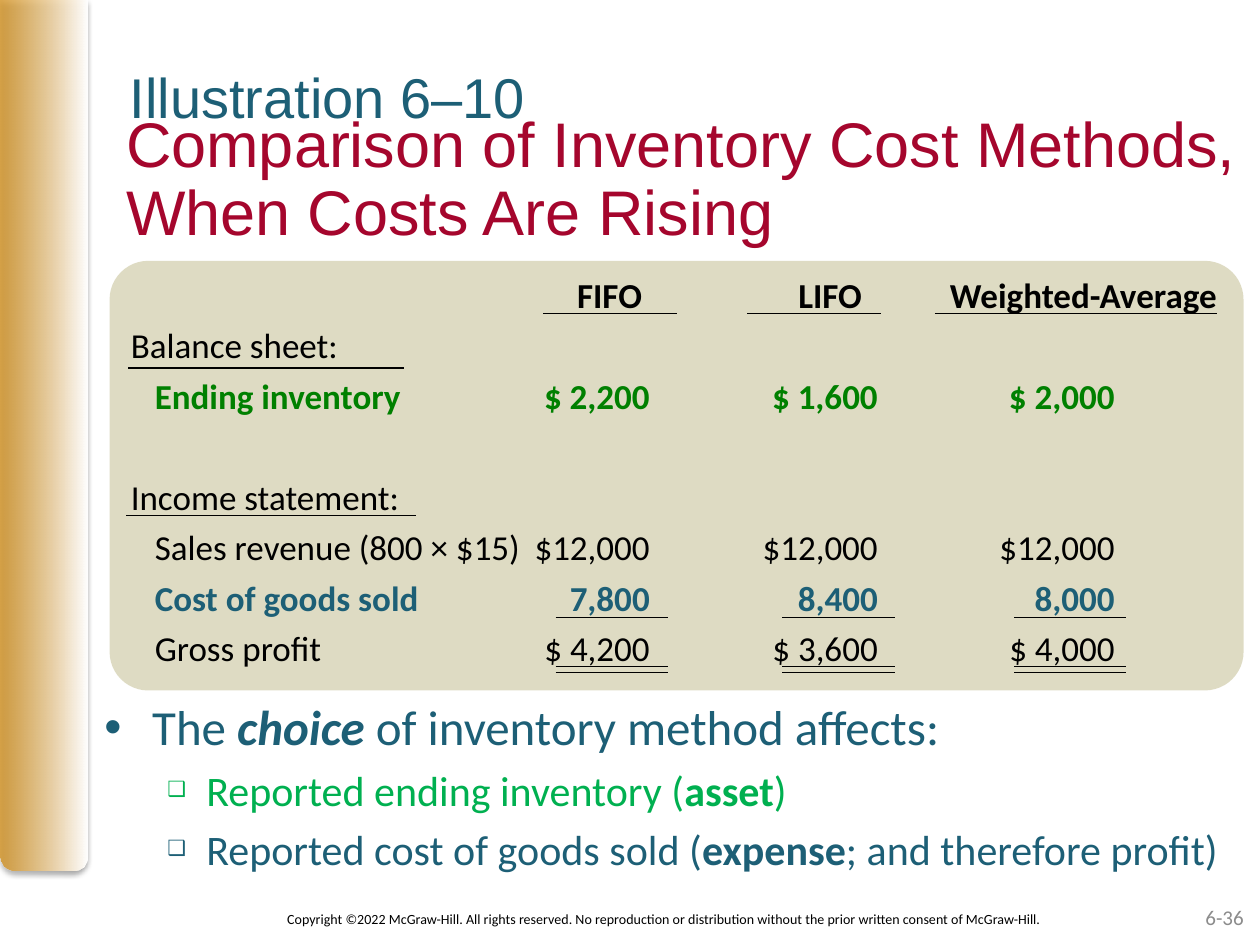
from dataclasses import dataclass

from lxml.etree import SubElement
from pptx import Presentation
from pptx.dml.color import RGBColor
from pptx.enum.shapes import MSO_CONNECTOR, MSO_SHAPE
from pptx.enum.text import MSO_ANCHOR, MSO_AUTO_SIZE, PP_ALIGN
from pptx.oxml.ns import qn
from pptx.util import Inches, Pt


@dataclass(frozen=True)
class Theme:
    gold: str = "D49323"
    white: str = "FFFFFF"
    black: str = "000000"
    gray: str = "8C8C8C"
    panel: str = "D4D0B0"
    crimson: str = "A5062D"
    teal: str = "1D5F76"
    green: str = "008000"
    bright_green: str = "00B050"
    heading_font: str = "Arial"
    body_font: str = "Calibri"
    title_size: int = 36
    label_size: int = 32
    bullet_size: int = 28
    sub_bullet_size: int = 24
    table_size: int = 20
    number_size: int = 12
    copyright_size: int = 8


class SlideBuilder:
    def __init__(self, slide, theme):
        self.slide = slide
        self.theme = theme

    def add_run(self, paragraph, text, size, color, font=None, bold=False, italic=False):
        run = paragraph.add_run()
        run.text = text
        run.font.name = font or self.theme.body_font
        run.font.size = Pt(size)
        run.font.color.rgb = RGBColor.from_string(color)
        run.font.bold = bold
        run.font.italic = italic

    def set_alpha(self, fill_element, percent):
        color = next(fill_element.iter(qn("a:srgbClr")))
        SubElement(color, qn("a:alpha"), val=str(percent * 1000))

    def title(self, text, left, top, width, height):
        shape = self.slide.shapes.title
        shape.left, shape.top, shape.width, shape.height = map(Inches, (left, top, width, height))
        frame = self.prepare_frame(shape, inset=0)
        paragraph = frame.paragraphs[0]
        paragraph.alignment = PP_ALIGN.LEFT
        paragraph.line_spacing = 0.9
        self.add_run(paragraph, text, self.theme.title_size, self.theme.crimson,
                     self.theme.heading_font)

    def prepare_frame(self, shape, inset=None, anchor=MSO_ANCHOR.TOP):
        frame = shape.text_frame
        frame.word_wrap = True
        frame.auto_size = MSO_AUTO_SIZE.NONE
        frame.vertical_anchor = anchor
        if inset is not None:
            frame.margin_left = frame.margin_right = Inches(inset)
            frame.margin_top = frame.margin_bottom = Inches(inset)
        return frame

    def text_frame(self, left, top, width, height, inset=None, anchor=MSO_ANCHOR.TOP):
        box = self.slide.shapes.add_textbox(*map(Inches, (left, top, width, height)))
        return self.prepare_frame(box, inset, anchor)

    def label(self, text, place, size, color, font=None, align=PP_ALIGN.LEFT, **frame_options):
        paragraph = self.text_frame(*place, **frame_options).paragraphs[0]
        paragraph.alignment = align
        self.add_run(paragraph, text, size, color, font)

    def shape(self, kind, left, top, width, height):
        shape = self.slide.shapes.add_shape(kind, *map(Inches, (left, top, width, height)))
        shape.shadow.inherit = False
        shape.line.fill.background()
        return shape

    def side_band(self, left, top, width, height):
        band = self.shape(MSO_SHAPE.ROUND_2_SAME_RECTANGLE, left, top, width, height)
        band.adjustments[0], band.adjustments[1] = 0, 0.17
        band.fill.gradient()
        band.fill.gradient_angle = 0
        for stop, color in zip(band.fill.gradient_stops, (self.theme.gold, self.theme.white)):
            stop.color.rgb = RGBColor.from_string(color)
        properties = band._element.spPr
        self.set_alpha(properties.find(qn("a:gradFill")), 80)
        shadow = SubElement(properties.find(qn("a:effectLst")), qn("a:outerShdw"),
                            blurRad=str(Pt(3.1)), dist=str(Pt(1.8)), dir="5400000",
                            rotWithShape="0")
        SubElement(shadow, qn("a:srgbClr"), val=self.theme.black)
        self.set_alpha(shadow, 35)

    def panel(self, left, top, width, height):
        panel = self.shape(MSO_SHAPE.ROUNDED_RECTANGLE, left, top, width, height)
        panel.adjustments[0] = 0.09
        panel.fill.solid()
        panel.fill.fore_color.rgb = RGBColor.from_string(self.theme.panel)
        self.set_alpha(panel._element.spPr.find(qn("a:solidFill")), 75)

    def rule(self, left, right, y):
        line = self.slide.shapes.add_connector(
            MSO_CONNECTOR.STRAIGHT, Inches(left), Inches(y), Inches(right), Inches(y))
        line.line.color.rgb = RGBColor.from_string(self.theme.black)
        line.line.width = Pt(0.75)
        SubElement(line._element.spPr, qn("a:effectLst"))

    def tabbed_row(self, paragraph, text, tabs, color, bold):
        tab_list = SubElement(paragraph._p.get_or_add_pPr(), qn("a:tabLst"))
        for position, align in tabs:
            SubElement(tab_list, qn("a:tab"), pos=str(Inches(position)), algn=align)
        self.add_run(paragraph, text, self.theme.table_size, color, bold=bold)

    def bullet(self, paragraph, runs, size, color, level, mark, margin, hanging, mark_percent):
        paragraph.level = level
        properties = paragraph._p.get_or_add_pPr()
        properties.set("marL", str(Inches(margin)))
        properties.set("indent", str(-Inches(hanging)))
        SubElement(properties, qn("a:buSzPct"), val=str(mark_percent * 1000))
        SubElement(properties, qn("a:buFont"), typeface=self.theme.heading_font)
        SubElement(properties, qn("a:buChar"), char=mark)
        for text, emphasis in runs:
            self.add_run(paragraph, text, size, color, **emphasis)


def main():
    presentation = Presentation()
    presentation.slide_width, presentation.slide_height = Inches(10), Inches(7.5)
    theme = Theme()
    slide = presentation.slides.add_slide(presentation.slide_layouts[5])
    builder = SlideBuilder(slide, theme)

    # Side band and footer
    builder.side_band(0, 0, 0.69, 6.91)
    builder.label("Copyright ©2022 McGraw-Hill. All rights reserved. No reproduction or "
                  "distribution without the prior written consent of McGraw-Hill.",
                  (1.46, 7.18, 7.63, 0.24), theme.copyright_size, theme.black,
                  align=PP_ALIGN.CENTER)
    builder.label("6-36", (7.64, 7.08, 2.33, 0.4), theme.number_size, theme.gray,
                  align=PP_ALIGN.RIGHT, anchor=MSO_ANCHOR.MIDDLE)

    # Headings
    builder.panel(0.87, 2.07, 9, 3.41)
    builder.title("Comparison of Inventory Cost Methods, When Costs Are Rising", 1, 0.9, 9, 1.25)
    builder.label("Illustration 6–10", (1.03, 0.5, 5.76, 0.46), theme.label_size, theme.teal,
                  theme.heading_font, inset=0)

    # Comparison statement, aligned on tab stops
    header_tabs = [(3.8, "ctr"), (5.55, "ctr"), (7.56, "ctr")]
    value_tabs = [(0.19, "l"), (4.12, "r"), (5.93, "r"), (7.81, "r")]
    rows = [
        ("\tFIFO\tLIFO\tWeighted-Average", theme.black, True),
        ("Balance sheet:", theme.black, False),
        ("\tEnding inventory\t$ 2,200\t$ 1,600\t$ 2,000", theme.green, True),
        ("Income statement:", theme.black, False),
        ("\tSales revenue (800 × $15)\t$12,000\t$12,000\t$12,000", theme.black, False),
        ("\tCost of goods sold\t7,800\t8,400\t8,000", theme.teal, True),
        ("\tGross profit\t$ 4,200\t$ 3,600\t$ 4,000", theme.black, False),
    ]
    frame = builder.text_frame(0.94, 2.12, 8.93, 3.26)
    for index, (text, color, bold) in enumerate(rows):
        paragraph = frame.paragraphs[0] if index == 0 else frame.add_paragraph()
        paragraph.line_spacing = 1.2 if index else 1
        if text == "Income statement:":
            paragraph.space_before = Pt(29)
        builder.tabbed_row(paragraph, text, value_tabs if index else header_tabs, color, bold)

    # Rules under the column heads and section names
    for left, right, y in [(4.31, 5.37, 2.49), (5.93, 6.99, 2.49), (7.42, 9.66, 2.49),
                           (1.02, 3.21, 2.92), (1, 3.3, 4.09)]:
        builder.rule(left, right, y)

    # Subtotal rule and double total rule in each column
    for left in (4.41, 6.21, 8.05):
        for y in (4.9, 5.29, 5.34):
            builder.rule(left, left + 0.89, y)

    # Conclusions
    strong = {"bold": True}
    main_style = (0, "•", 0.38, 0.38, 100)
    sub_style = (1, "❑", 0.81, 0.31, 50)
    bullets = [
        ([("The ", {}), ("choice", {"bold": True, "italic": True}),
          (" of inventory method affects:", {})], theme.bullet_size, theme.teal, main_style),
        ([("Reported ending inventory (", {}), ("asset", strong), (")", {})],
         theme.sub_bullet_size, theme.bright_green, sub_style),
        ([("Reported cost of goods sold (", {}), ("expense", strong),
          ("; and therefore profit)", {})], theme.sub_bullet_size, theme.teal, sub_style),
    ]
    frame = builder.text_frame(0.73, 5.48, 9.27, 1.48)
    for index, (runs, size, color, style) in enumerate(bullets):
        paragraph = frame.paragraphs[0] if index == 0 else frame.add_paragraph()
        if index:
            paragraph.space_before = Pt(5)
        builder.bullet(paragraph, runs, size, color, *style)

    presentation.save("out.pptx")


if __name__ == "__main__":
    main()
